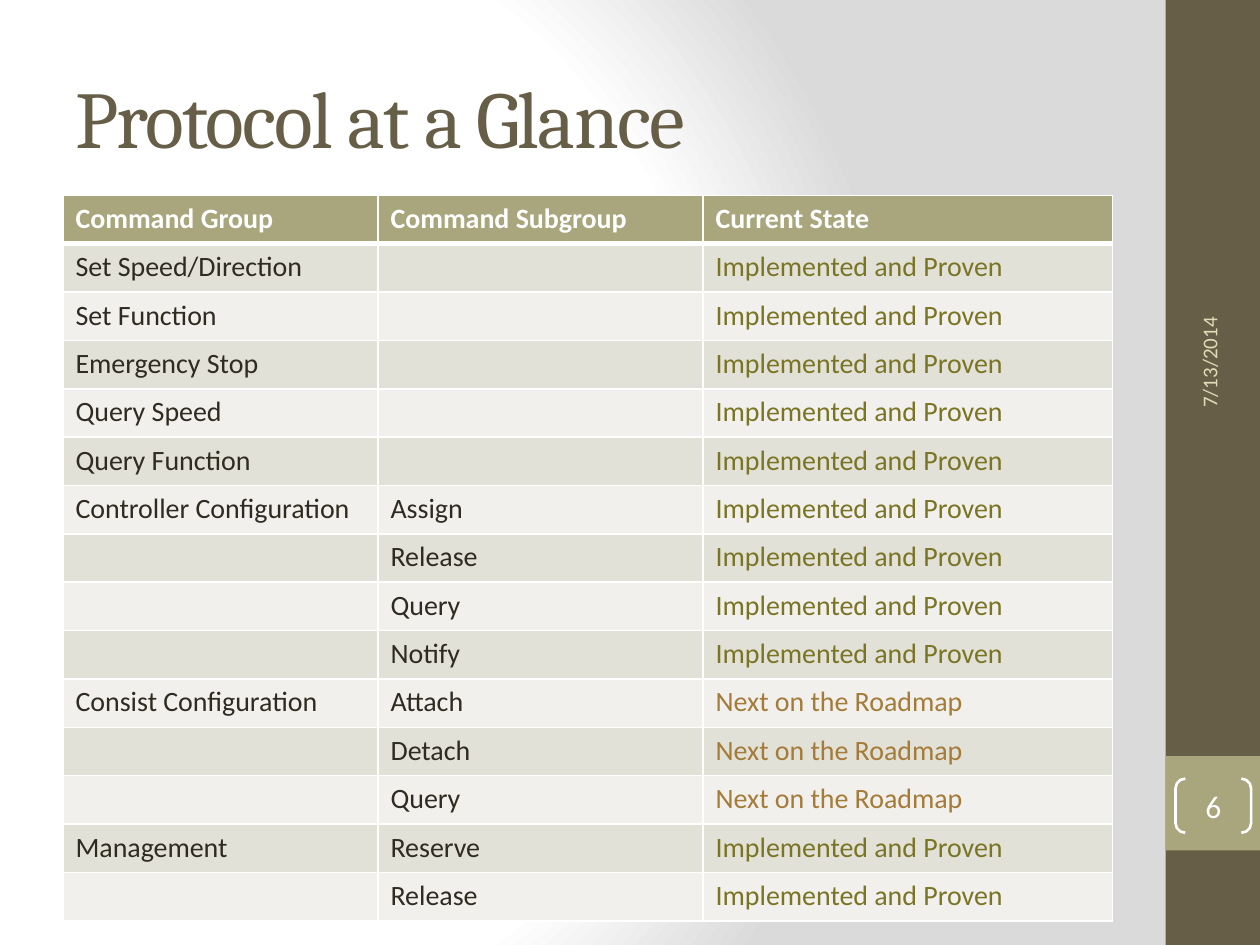
from lxml.etree import SubElement
from pptx import Presentation
from pptx.dml.color import RGBColor
from pptx.enum.shapes import MSO_SHAPE as SHAPE
from pptx.enum.text import MSO_ANCHOR as ANCHOR, PP_ALIGN as ALIGN
from pptx.oxml import parse_xml
from pptx.oxml.ns import nsdecls, qn
from pptx.util import Inches, Pt

WHITE = RGBColor(0xFF, 0xFF, 0xFF)
BROWN = RGBColor(0x67, 0x5E, 0x47)
OLIVE = RGBColor(0xA9, 0xA5, 0x7C)
SAND = RGBColor(0xDF, 0xDC, 0xB7)
INK = RGBColor(0x2F, 0x2B, 0x20)
GREEN = RGBColor(0x7A, 0x74, 0x25)
OCHRE = RGBColor(0xA4, 0x7B, 0x38)
GREY = RGBColor(0xDA, 0xDA, 0xDA)
BANDS = (RGBColor(0xF1, 0xF0, 0xEC), RGBColor(0xE2, 0xE1, 0xD7))

DONE, NEXT = "Implemented and Proven", "Next on the Roadmap"
STATE_COLORS = {DONE: GREEN, NEXT: OCHRE}
HEADERS = ("Command Group", "Command Subgroup", "Current State")
GROUPS = [
    ("Set Speed/Direction", [""], DONE),
    ("Set Function", [""], DONE),
    ("Emergency Stop", [""], DONE),
    ("Query Speed", [""], DONE),
    ("Query Function", [""], DONE),
    ("Controller Configuration", ["Assign", "Release", "Query", "Notify"], DONE),
    ("Consist Configuration", ["Attach", "Detach", "Query"], NEXT),
    ("Management", ["Reserve", "Release"], DONE),
]
COL_WIDTHS = (2.5, 2.58, 3.25)
TABLE_BOX = (0.5, 1.55, 8.33, 5.76)
SIDEBAR = [((9.25, 0, 0.75, 7.5), BROWN), ((9.25, 6, 0.75, 0.75), OLIVE)]


def box(left, top, width, height):
    return [Inches(v) for v in (left, top, width, height)]


def write(tf, text, size, color, font="Calibri", bold=False):
    p = tf.paragraphs[0]
    if text:
        r = p.add_run()
        r.text = text
        for name, value in dict(name=font, size=Pt(size), bold=bold).items():
            setattr(r.font, name, value)
        r.font.color.rgb = color
    else:
        SubElement(p._p, qn("a:endParaRPr"), sz=str(size * 100))
    return p


def add_text(slide, place, *args, **kwargs):
    s = slide.shapes.add_textbox(*box(*place))
    s.text_frame.word_wrap = True
    s.text_frame.vertical_anchor = ANCHOR.MIDDLE
    write(s.text_frame, *args, **kwargs)
    return s


def add_borders(cell, bottom):
    tc_pr = cell._tc.get_or_add_tcPr()
    for side, width in zip("LRTB", (1, 1, 1, bottom)):
        ln = SubElement(tc_pr, qn(f"a:ln{side}"), w=str(Pt(width)))
        fill = SubElement(ln, qn("a:solidFill"))
        SubElement(fill, qn("a:srgbClr"), val=str(WHITE))


def set_background(slide):
    stops = "".join(
        f'<a:gs pos="{pos * 1000}"><a:srgbClr val="{color}"/></a:gs>'
        for pos, color in ((0, WHITE), (75, WHITE), (100, GREY)))
    slide._element.cSld.insert(0, parse_xml(
        f'<p:bg {nsdecls("p", "a")}><p:bgPr><a:gradFill rotWithShape="1">'
        f'<a:gsLst>{stops}</a:gsLst><a:path path="circle">'
        '<a:fillToRect l="20000" t="50000" r="100000" b="50000"/></a:path>'
        '</a:gradFill><a:effectLst/></p:bgPr></p:bg>'))


prs = Presentation()
prs.slide_width, prs.slide_height = Inches(10), Inches(7.5)
slide = prs.slides.add_slide(prs.slide_layouts[6])
set_background(slide)

for place, color in SIDEBAR:
    s = slide.shapes.add_shape(SHAPE.RECTANGLE, *box(*place))
    s.shadow.inherit = False
    s.fill.solid()
    s.fill.fore_color.rgb = color
    s.line.fill.background()

title = add_text(slide, (0.5, 0.3, 8.33, 1.25), "Protocol at a Glance", 46, BROWN, "Cambria")
title.text_frame.paragraphs[0].runs[0].font._element.set("spc", "-100")

rows = [HEADERS] + [
    (group if i == 0 else "", sub, state)
    for group, subs, state in GROUPS for i, sub in enumerate(subs)]
table = slide.shapes.add_table(len(rows), len(HEADERS), *box(*TABLE_BOX)).table
for column, width in zip(table.columns, COL_WIDTHS):
    column.width = Inches(width)
for i, row in enumerate(rows):
    header = i == 0
    for j, text in enumerate(row):
        cell = table.cell(i, j)
        add_borders(cell, 3 if header else 1)
        cell.fill.solid()
        cell.fill.fore_color.rgb = OLIVE if header else BANDS[i % 2]
        color = WHITE if header else STATE_COLORS.get(text, INK)
        write(cell.text_frame, text, 16, color, bold=header)

date = add_text(slide, (8.26, 1.8, 2.67, 0.4), "7/13/2014", 12, SAND)
date.rotation = 270

s = slide.shapes.add_shape(SHAPE.DOUBLE_BRACKET, *box(9.33, 6.18, 0.6, 0.43))
s.shadow.inherit = False
s.adjustments[0] = 0.18
s.fill.background()
s.line.color.rgb = WHITE
s.line.width = Pt(1.5)
tf = s.text_frame
for side in ("left", "top", "right", "bottom"):
    setattr(tf, f"margin_{side}", 0)
tf.vertical_anchor = ANCHOR.MIDDLE
write(tf, "6", 18, WHITE).alignment = ALIGN.CENTER

prs.save("out.pptx")
